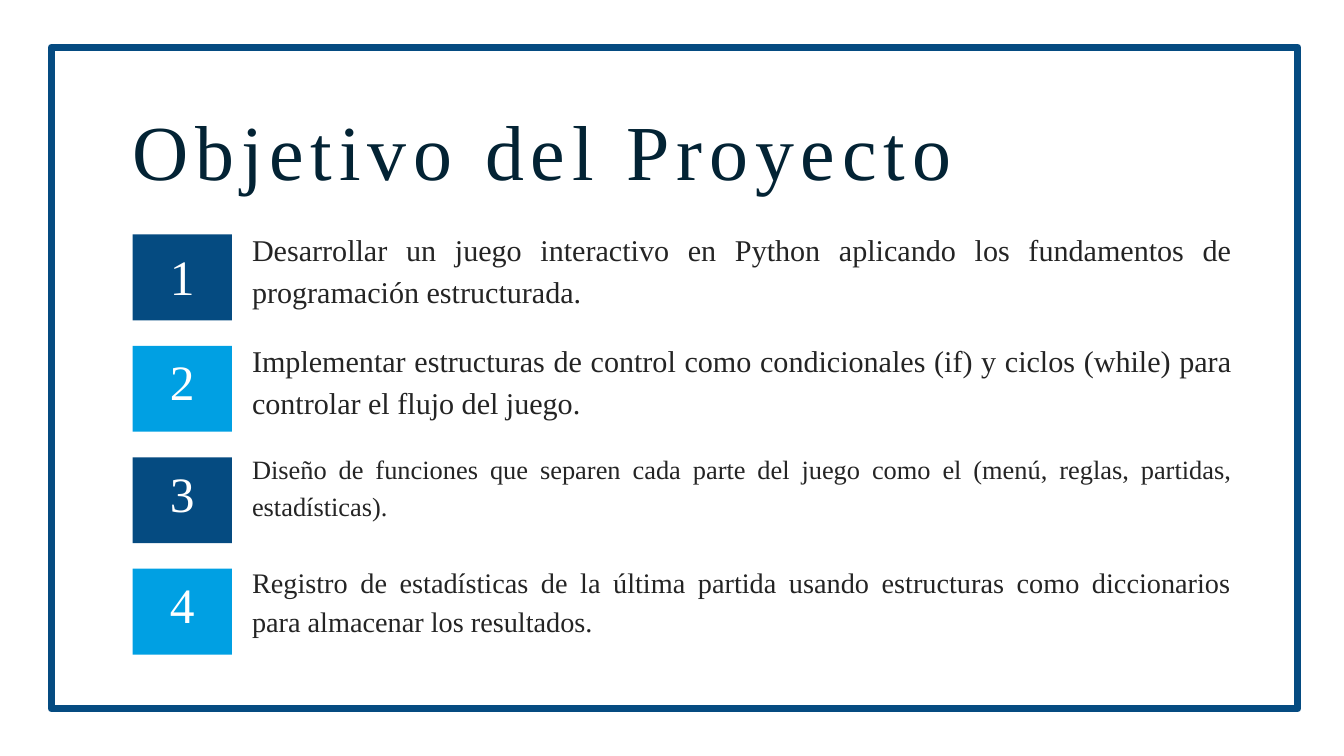
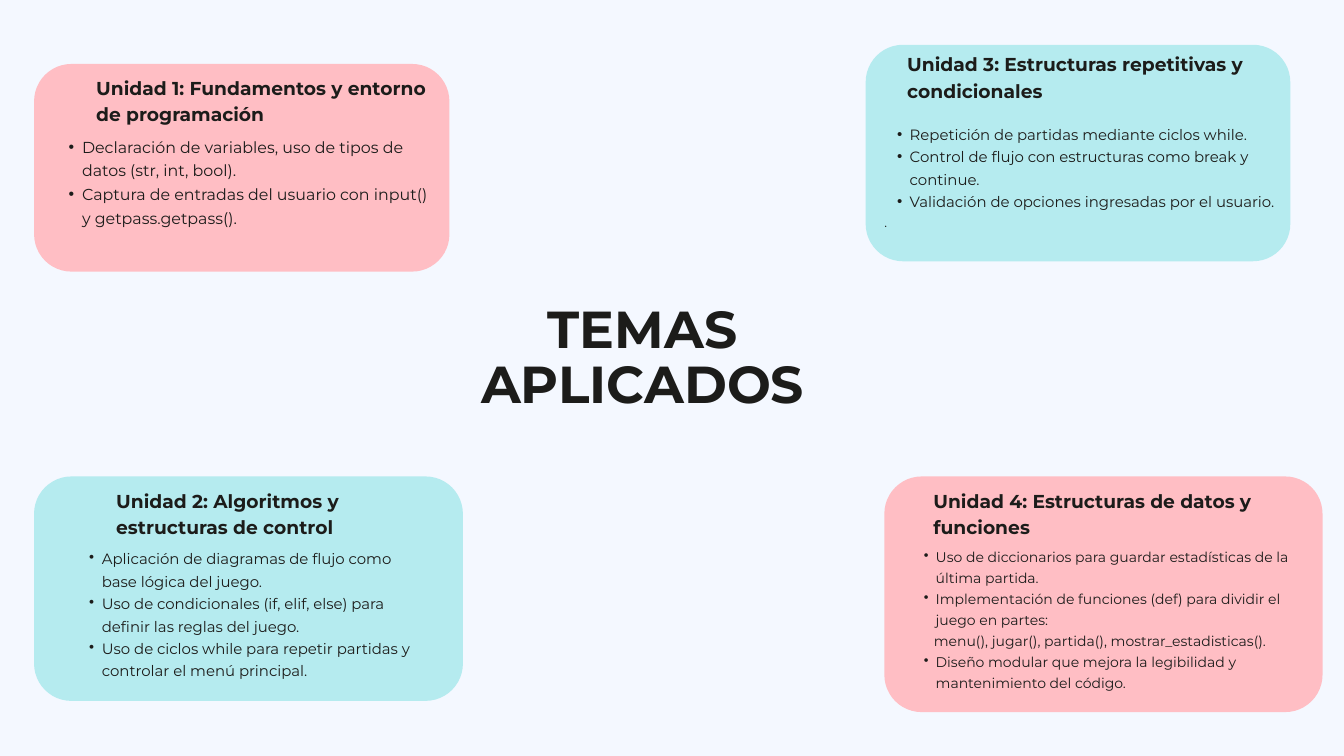
from lxml import etree
from pptx import Presentation
from pptx.dml.color import RGBColor
from pptx.enum.shapes import MSO_SHAPE
from pptx.enum.text import MSO_ANCHOR, MSO_AUTO_SIZE, PP_ALIGN
from pptx.oxml.ns import qn
from pptx.util import Pt

RECTANGLE, ROUNDED = MSO_SHAPE.RECTANGLE, MSO_SHAPE.ROUNDED_RECTANGLE
TOP, NO_AUTOFIT = MSO_ANCHOR.TOP, MSO_AUTO_SIZE.NONE
LEFT, CENTER, JUSTIFY = PP_ALIGN.LEFT, PP_ALIGN.CENTER, PP_ALIGN.JUSTIFY
TITLE_ONLY, COMPARISON = 5, 4

WHITE = RGBColor(0xFF, 0xFF, 0xFF)
NAVY = RGBColor(0x05, 0x4B, 0x81)
SKY = RGBColor(0x00, 0xA0, 0xE3)
DARK_TEAL = RGBColor(0x03, 0x23, 0x34)
CHARCOAL = RGBColor(0x24, 0x24, 0x24)
PALE_BLUE = RGBColor(0xF4, 0xF8, 0xFF)
PINK = RGBColor(0xFF, 0xBE, 0xC4)
AQUA = RGBColor(0xB5, 0xEB, 0xEF)
INK = RGBColor(0x1C, 0x1C, 0x1A)
SERIF, SANS = "Times New Roman", "Montserrat"


def add_block(page, kind, area, fill):
    """Add a flat shape without outline."""
    block = page.shapes.add_shape(kind, *map(Pt, area))
    block.shadow.inherit = False
    block.fill.solid()
    block.fill.fore_color.rgb = fill
    block.line.fill.background()
    return block


def write(box, area, lines, font, colour, align=LEFT, bold=False, tracking=0):
    """Place a box and fill it; a line is (text, size, leading, indent, bulleted)."""
    box.left, box.top, box.width, box.height = map(Pt, area)
    frame = box.text_frame
    frame.text = "\n".join(line[0] for line in lines)
    frame.word_wrap = True
    frame.auto_size = NO_AUTOFIT
    frame.vertical_anchor = TOP
    frame.margin_left = frame.margin_top = frame.margin_right = frame.margin_bottom = 0
    for paragraph, (_, size, leading, indent, bulleted) in zip(frame.paragraphs, lines):
        properties = paragraph._p.get_or_add_pPr()
        properties.set("marL", str(Pt(indent)))
        properties.set("indent", str(-Pt(indent / 2) if bulleted else 0))
        bullet = etree.SubElement(properties, qn("a:buChar" if bulleted else "a:buNone"))
        if bulleted:
            bullet.set("char", "•")
        paragraph.alignment = align
        paragraph.line_spacing = Pt(leading)
        paragraph.space_before = paragraph.space_after = Pt(0)
        for span in paragraph.runs:
            span.font.name = font
            span.font.size = Pt(size)
            span.font.bold = bold
            span.font.color.rgb = colour
            if tracking:
                span._r.get_or_add_rPr().set("spc", str(round(tracking * 100)))


deck = Presentation()
deck.slide_width, deck.slide_height = Pt(1440), Pt(810)

# Slide 1: project objectives
page = deck.slides.add_slide(deck.slide_layouts[TITLE_ONLY])
page.background.fill.solid()
page.background.fill.fore_color.rgb = WHITE

border = add_block(page, RECTANGLE, (55, 50.5, 1335.5, 709), WHITE)
border.fill.background()
border.line.color.rgb = NAVY
border.line.width = Pt(7.5)

write(page.shapes.title, (142, 113, 1178.5, 111),
      [("Objetivo del Proyecto", 83.4, 96.8, 0, False)], SERIF, DARK_TEAL, tracking=7.3)

# Each objective: text, size, distance from tile top to its number
objectives = [
    ("Desarrollar un juego interactivo en Python aplicando los fundamentos de "
     "programación estructurada.", 32.3, 14.4),
    ("Implementar estructuras de control como condicionales (if) y ciclos (while) "
     "para controlar el flujo del juego.", 32.3, 8),
    ("Diseño de funciones que separen cada parte del juego como el (menú, reglas, "
     "partidas, estadísticas).", 28.3, 8),
    ("Registro de estadísticas de la última partida usando estructuras como "
     "diccionarios para almacenar los resultados.", 30.3, 8),
]
ROW_PITCH = 119.4
for row, (objective, size, number_drop) in enumerate(objectives):
    tile_area = (142, 251.2 + row * ROW_PITCH, 106.5, 92)
    tile = add_block(page, RECTANGLE, tile_area, (NAVY, SKY)[row % 2])
    write(tile, tile_area, [(str(row + 1), 53, 61.5, 0, False)], SERIF, WHITE, CENTER,
          tracking=5.9)
    tile.text_frame.margin_top = Pt(number_drop)
    box = page.shapes.add_textbox(0, 0, 0, 0)
    write(box, (270, 241.2 + row * ROW_PITCH, 1050.5, 93.5),
          [(objective, size, size * 1.4, 0, False)], SERIF, CHARCOAL, JUSTIFY)

# Slide 2: applied topics
page = deck.slides.add_slide(deck.slide_layouts[COMPARISON])
page.background.fill.solid()
page.background.fill.fore_color.rgb = PALE_BLUE
write(page.shapes.title, (496, 326, 385, 120),
      [("TEMAS APLICADOS", 55.7, 59, 0, False)], SANS, INK, CENTER, bold=True)

# Each unit: card area, card colour, heading, heading area, list area, list size, items.
# A plain line without bullet is given as (text, size, indent).
units = [
    ((36.5, 68.5, 445, 222.5), PINK, "Unidad 1: Fundamentos y entorno de programación",
     (103, 78.5, 357, 54), (59, 142, 400.5, 139), 17,
     ["Declaración de variables, uso de tipos de datos (str, int, bool).",
      "Captura de entradas del usuario con input() y getpass.getpass()."]),
    ((927.5, 48, 455, 232), AQUA, "Unidad 3: Estructuras repetitivas y condicionales",
     (972, 53, 366.5, 54), (947.5, 129.5, 435, 132), 16,
     ["Repetición de partidas mediante ciclos while.",
      "Control de flujo con estructuras como break y continue.",
      "Validación de opciones ingresadas por el usuario.",
      (".", 14, 0)]),
    ((36.5, 510.5, 459.5, 240.5), AQUA, "Unidad 2: Algoritmos y estructuras de control",
     (124.5, 520.5, 284.5, 54), (82, 584.5, 368.5, 178.5), 16,
     ["Aplicación de diagramas de flujo como base lógica del juego.",
      "Uso de condicionales (if, elif, else) para definir las reglas del juego.",
      "Uso de ciclos while para repetir partidas y controlar el menú principal."]),
    ((947.5, 510.5, 469.5, 252.5), PINK, "Unidad 4: Estructuras de datos y funciones",
     (1000, 520.5, 358.5, 54), (977, 583, 420, 173.5), 15,
     ["Uso de diccionarios para guardar estadísticas de la última partida.",
      "Implementación de funciones (def) para dividir el juego en partes:",
      ("menu(), jugar(), partida(), mostrar_estadisticas().", 15, 23.5),
      "Diseño modular que mejora la legibilidad y mantenimiento del código."]),
]
CORNER_RADIUS = 40
# The top two units take the layout's heading and list placeholders
text_boxes = [shape for shape in page.placeholders if shape != page.shapes.title]
text_boxes += [page.shapes.add_textbox(0, 0, 0, 0) for _ in range(4)]

for index, unit in enumerate(units):
    card_area, fill, heading, heading_area, list_area, size, items = unit
    card = add_block(page, ROUNDED, card_area, fill)
    card.adjustments[0] = CORNER_RADIUS / card_area[3]
    # Keep the card behind all text
    page.shapes.title._element.addprevious(card._element)

    heading_box, list_box = text_boxes[2 * index:2 * index + 2]
    write(heading_box, heading_area, [(heading, 20, 28, 0, False)], SANS, INK, bold=True)
    lines = []
    for item in items:
        if isinstance(item, str):
            lines.append((item, size, size * 1.5, size * 1.7, True))
        else:
            text, plain_size, indent = item
            lines.append((text, plain_size, plain_size * 1.5, indent, False))
    write(list_box, list_area, lines, SANS, INK)

deck.save("out.pptx")
